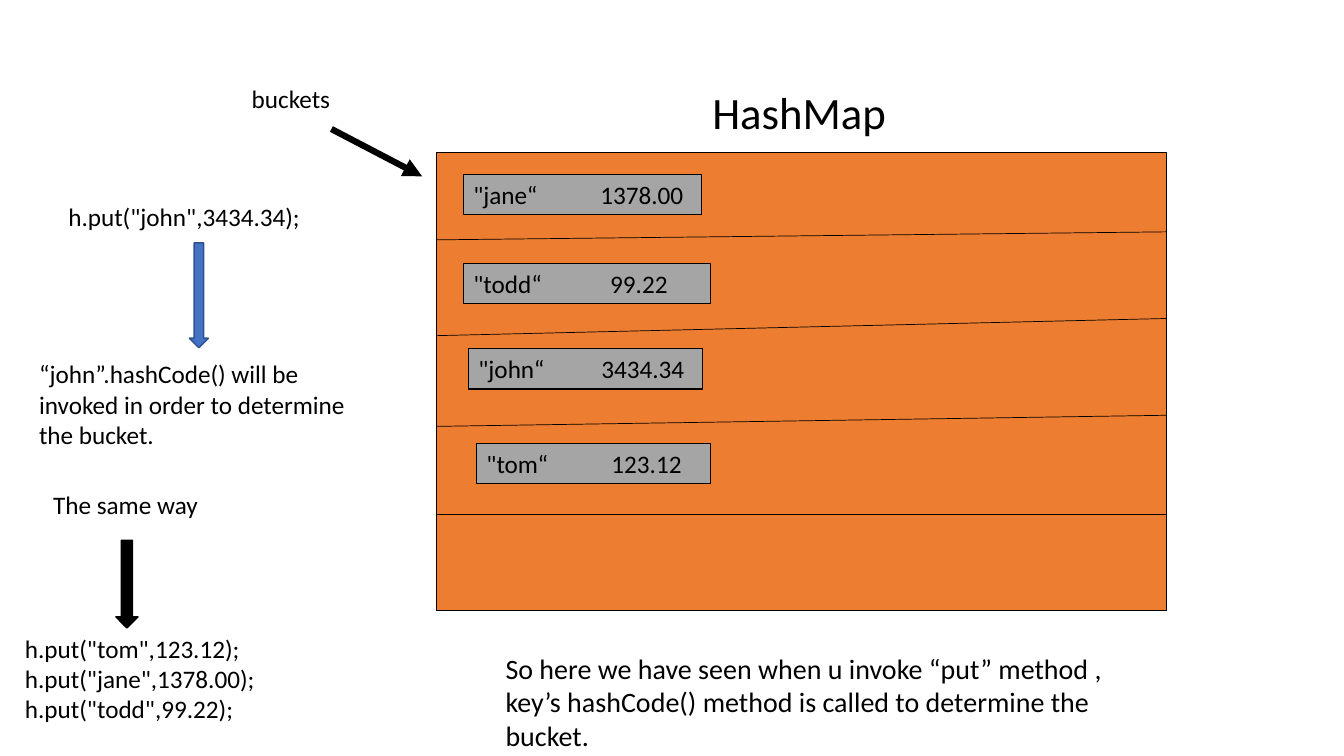
from lxml.etree import SubElement
from pptx import Presentation
from pptx.dml.color import RGBColor
from pptx.enum.shapes import MSO_CONNECTOR, MSO_SHAPE
from pptx.enum.text import MSO_ANCHOR, MSO_AUTO_SIZE, PP_ALIGN
from pptx.oxml.ns import qn
from pptx.util import Inches, Pt

BLACK = RGBColor(0x00, 0x00, 0x00)
ORANGE = RGBColor(0xED, 0x7D, 0x31)
GRAY = RGBColor(0xA5, 0xA5, 0xA5)
BLUE = RGBColor(0x44, 0x72, 0xC4)
DARK_BLUE = RGBColor(0x2F, 0x52, 0x8F)
FONT = "Calibri"

# Content: every position and length is a percentage of the slide's width or height
TITLE = ("HashMap", (52.25, 10.53, 14.84, 8.53))
MAP_BOX = (32.46, 20.13, 54.35, 60.67)
DIVIDERS = [(31.73, 30.67), (44.4, 42.13), (56.4, 54.93), (68, 68)]  # left end, right end
ENTRY_HEIGHT = 5.33
ENTRIES = [  # key, value, left, top, width, tab to the value
    ('"jane“', "1378.00", 34.48, 23.07, 17.69, 9.45),
    ('"todd“', "99.22", 34.48, 34.8, 18.37, 10.19),
    ('"john“', "3434.34", 34.86, 46.13, 17.39, 9.15),
    ('"tom“', "123.12", 35.46, 58.67, 17.39, 9.3),
]
LABELS = [  # lines, box, text size
    (["buckets"], (17.99, 10.4, 7.87, 5.33), 18),
    (['h.put("john",3434.34);'], (4.35, 26, 26.16, 5.33), 18),
    (["“john”.hashCode() will be invoked in order to determine the bucket."],
     (2.17, 46.8, 26.76, 13.33), 18),
    (["The same way"], (3.22, 64, 13.57, 5.33), 18),
    (['h.put("tom",123.12);', 'h.put("jane",1378.00);', 'h.put("todd",99.22);'],
     (1.12, 83.07, 28.86, 13.33), 18),
    (["So here we have seen when u invoke “put” method , key’s hashCode() method "
      "is called to determine the bucket."], (36.88, 85.47, 47.9, 14.67), 20),
]
BUCKET_POINTER = (24.66, 17.07, 31.41, 23.33)
DOWN_ARROWS = [
    ((14.09, 32.13, 1.42, 13.87), BLUE, DARK_BLUE),
    ((8.62, 71.47, 1.65, 11.6), BLACK, BLACK),
]

presentation = Presentation()
presentation.slide_width, presentation.slide_height = Inches(13.34), Inches(7.5)
slide = presentation.slides.add_slide(presentation.slide_layouts[5])


def across(share):
    return round(presentation.slide_width * share / 100)


def down(share):
    return round(presentation.slide_height * share / 100)


def place(box):
    left, top, width, height = box
    return across(left), down(top), across(width), down(height)


def write(shape, lines, size, tab=None):
    frame = shape.text_frame
    frame.word_wrap = True
    frame.auto_size = MSO_AUTO_SIZE.NONE
    frame.vertical_anchor = MSO_ANCHOR.TOP
    for index, line in enumerate(lines):
        paragraph = frame.add_paragraph() if index else frame.paragraphs[0]
        paragraph.alignment = PP_ALIGN.LEFT
        if tab:
            tab_list = SubElement(paragraph._p.get_or_add_pPr(), qn("a:tabLst"))
            SubElement(tab_list, qn("a:tab"), pos=str(across(tab)), algn="l")
        run = paragraph.add_run()
        run.text = line
        run.font.name = FONT
        run.font.size = Pt(size)
        run.font.color.rgb = BLACK


def add_block(kind, box, fill, line, width):
    shape = slide.shapes.add_shape(kind, *place(box))
    shape.shadow.inherit = False
    shape.fill.solid()
    shape.fill.fore_color.rgb = fill
    shape.line.color.rgb = line
    shape.line.width = Pt(width)
    return shape


def add_line(start_x, start_y, end_x, end_y, width):
    line = slide.shapes.add_connector(
        MSO_CONNECTOR.STRAIGHT, across(start_x), down(start_y), across(end_x), down(end_y))
    line.line.color.rgb = BLACK
    line.line.width = Pt(width)
    SubElement(line._element.spPr, qn("a:effectLst"))
    return line


# Title above the map
title_text, title_box = TITLE
title = slide.shapes.title
title.left, title.top, title.width, title.height = place(title_box)
write(title, [title_text], 32)

# Map with its buckets
add_block(MSO_SHAPE.RECTANGLE, MAP_BOX, ORANGE, BLACK, 0.75)
map_left, map_right = MAP_BOX[0], MAP_BOX[0] + MAP_BOX[2]
for left_end, right_end in DIVIDERS:
    add_line(map_left, left_end, map_right, right_end, 0.5)

# Stored entries
for key, value, left, top, width, tab in ENTRIES:
    entry = add_block(MSO_SHAPE.RECTANGLE, (left, top, width, ENTRY_HEIGHT), GRAY, BLACK, 0.75)
    write(entry, [f"{key}\t{value}"], 18, tab)

# Pointer to the buckets
pointer = add_line(*BUCKET_POINTER, 4.5)
SubElement(pointer.line._get_or_add_ln(), qn("a:tailEnd"), type="triangle")

# Explanations and the arrows between them
for lines, box, size in LABELS:
    write(slide.shapes.add_textbox(*place(box)), lines, size)
for box, fill, line in DOWN_ARROWS:
    add_block(MSO_SHAPE.DOWN_ARROW, box, fill, line, 1)

presentation.save("out.pptx")
